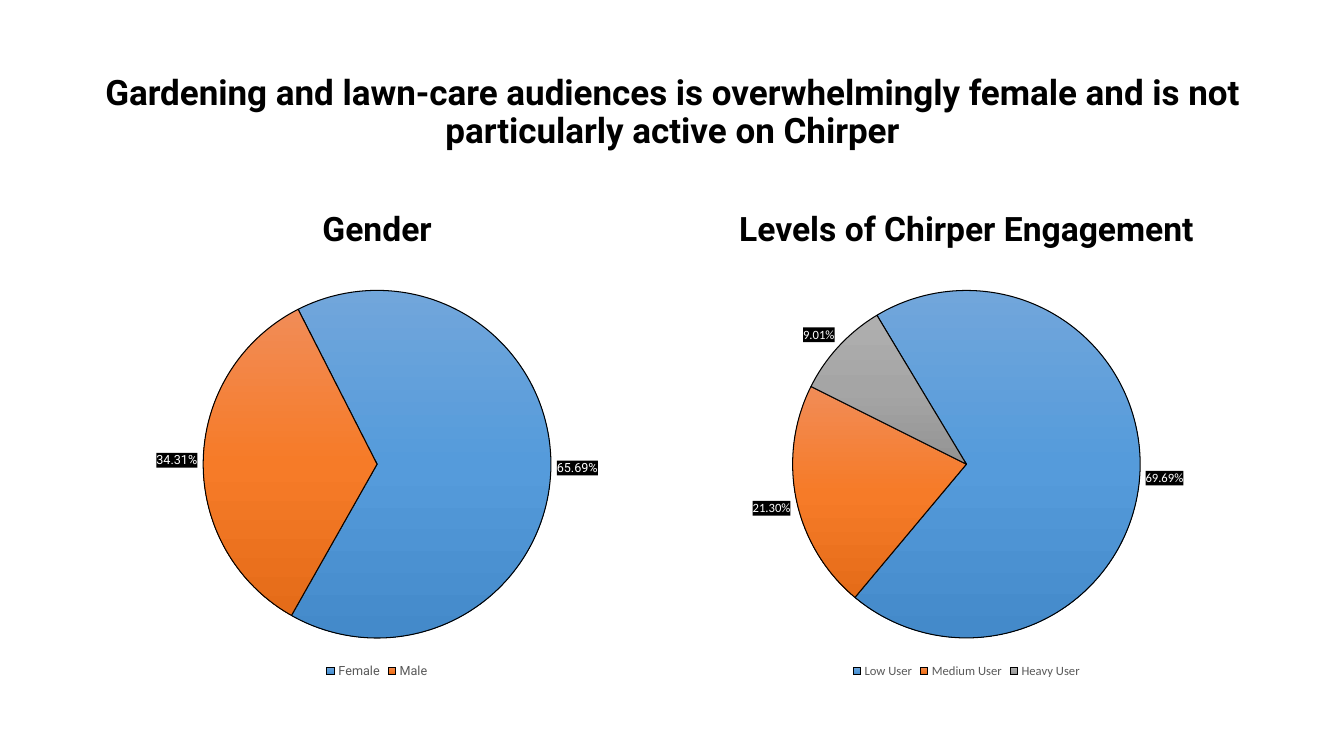
import copy
import pptx
import pptx.chart.data
import pptx.dml.color
import pptx.enum.chart
import pptx.enum.text
import pptx.oxml
import pptx.oxml.ns
import pptx.util

Inches, Pt = pptx.util.Inches, pptx.util.Pt
RGBColor = pptx.dml.color.RGBColor

BLACK = RGBColor(0x00, 0x00, 0x00)
WHITE = RGBColor(0xFF, 0xFF, 0xFF)
GRAY = RGBColor(0x59, 0x59, 0x59)
FILLS = [
    (RGBColor(0x71, 0xA6, 0xDB), RGBColor(0x55, 0x9B, 0xDB), RGBColor(0x44, 0x8A, 0xCA)),
    (RGBColor(0xF1, 0x8C, 0x57), RGBColor(0xF6, 0x7B, 0x28), RGBColor(0xE5, 0x6C, 0x19)),
    (RGBColor(0xAF, 0xAF, 0xAF), RGBColor(0xA5, 0xA5, 0xA5), RGBColor(0x93, 0x93, 0x93)),
]

TITLE = ("Gardening and lawn-care audiences is overwhelmingly female "
         "and is not particularly active on Chirper")
PIES = [
    dict(head="Gender", holder=1, left=0.92, width=5.64, font="Roboto", start=333,
         data={"Female": 65.69, "Male": 34.31}),
    dict(head="Levels of Chirper Engagement", holder=3, left=6.75, width=5.67,
         font="Calibri", start=329,
         data={"Low User": 69.69, "Medium User": 21.3, "Heavy User": 9.01}),
]
TOP, HIGH = 2.74, 4.03
ROUND, INSET = 3.45, 0.14


def node(xml):
    return pptx.oxml.parse_xml(xml.replace(">", " " + pptx.oxml.ns.nsdecls("c", "a") + ">", 1))


def style(font, name, size, color, bold=False):
    font.name, font.size, font.bold = name, Pt(size), bold
    font.color.rgb = color


def write(shape, text, box, size):
    shape.left, shape.top, shape.width, shape.height = map(Inches, box)
    frame = shape.text_frame
    frame.text = text
    frame.word_wrap = True
    frame.auto_size = pptx.enum.text.MSO_AUTO_SIZE.NONE
    frame.vertical_anchor = pptx.enum.text.MSO_ANCHOR.MIDDLE
    line = frame.paragraphs[0]
    line.alignment = pptx.enum.text.PP_ALIGN.CENTER
    line.line_spacing = 0.9
    line.space_before = Pt(0)
    style(line.font, "Roboto", size, BLACK, True)


def shade(series, index, colors):
    form = series.points[index].format
    form.line.color.rgb = BLACK
    form.line.width = Pt(0.75)
    form.fill.gradient()
    form.fill.gradient_angle = 270
    stops = series._element.xpath(".//a:gsLst")[index]
    stops.insert(1, copy.deepcopy(stops[0]))
    for stop, spot, color in zip(form.fill.gradient_stops, (0, 0.5, 1), colors):
        stop.position = spot
        stop.color.rgb = color


def draw(slide, pie):
    data = pptx.chart.data.CategoryChartData()
    data.categories = list(pie["data"])
    data.add_series("Series 1", list(pie["data"].values()))
    box = map(Inches, (pie["left"], TOP, pie["width"], HIGH))
    chart = slide.shapes.add_chart(pptx.enum.chart.XL_CHART_TYPE.PIE, *box, data).chart
    style(chart.font, pie["font"], 9, BLACK)
    chart.has_title = False
    chart.has_legend = True
    chart.legend.position = pptx.enum.chart.XL_LEGEND_POSITION.BOTTOM
    chart.legend.include_in_layout = False
    style(chart.legend.font, pie["font"], 9, GRAY)

    plot = chart.plots[0]
    plot.vary_by_categories = True
    series = plot.series[0]
    for index in range(len(pie["data"])):
        shade(series, index, FILLS[index])

    labels = series.data_labels
    labels.show_percentage = True
    labels.show_value = False
    labels.number_format = "0.00%"
    labels.number_format_is_linked = False
    labels.position = pptx.enum.chart.XL_LABEL_POSITION.OUTSIDE_END
    style(labels.font, pie["font"], 9, WHITE)
    back = node(f'<c:spPr><a:solidFill><a:srgbClr val="{BLACK}"/></a:solidFill></c:spPr>')
    series._element.xpath("./c:dLbls/c:numFmt")[0].addnext(back)

    ring = chart._chartSpace.xpath(".//c:pieChart")[0]
    for old in ring.xpath("./c:firstSliceAng | ../c:layout"):
        old.getparent().remove(old)
    ring.append(node(f'<c:firstSliceAng val="{pie["start"]}"></c:firstSliceAng>'))
    wide = ROUND / pie["width"]
    sizes = dict(x=(1 - wide) / 2, y=INSET / HIGH, w=wide, h=ROUND / HIGH)
    marks = "".join(f'<c:{key} val="{val:.3f}"/>' for key, val in sizes.items())
    ring.getparent().insert(0, node(
        '<c:layout><c:manualLayout><c:layoutTarget val="inner"/><c:xMode val="edge"/>'
        f'<c:yMode val="edge"/>{marks}</c:manualLayout></c:layout>'))


def main():
    deck = pptx.Presentation()
    deck.slide_width, deck.slide_height = Inches(13.33), Inches(7.5)
    slide = deck.slides.add_slide(deck.slide_layouts[4])
    holders = {shape.placeholder_format.idx: shape for shape in slide.placeholders}
    write(holders[0], TITLE, (0.92, 0.4, 11.5, 1.45), 25)
    for pie in PIES:
        write(holders[pie["holder"]], pie["head"], (pie["left"], 1.84, pie["width"], 0.9), 24)
        spare = holders[pie["holder"] + 1]._element
        spare.getparent().remove(spare)
        draw(slide, pie)
    deck.save("out.pptx")


if __name__ == "__main__":
    main()
